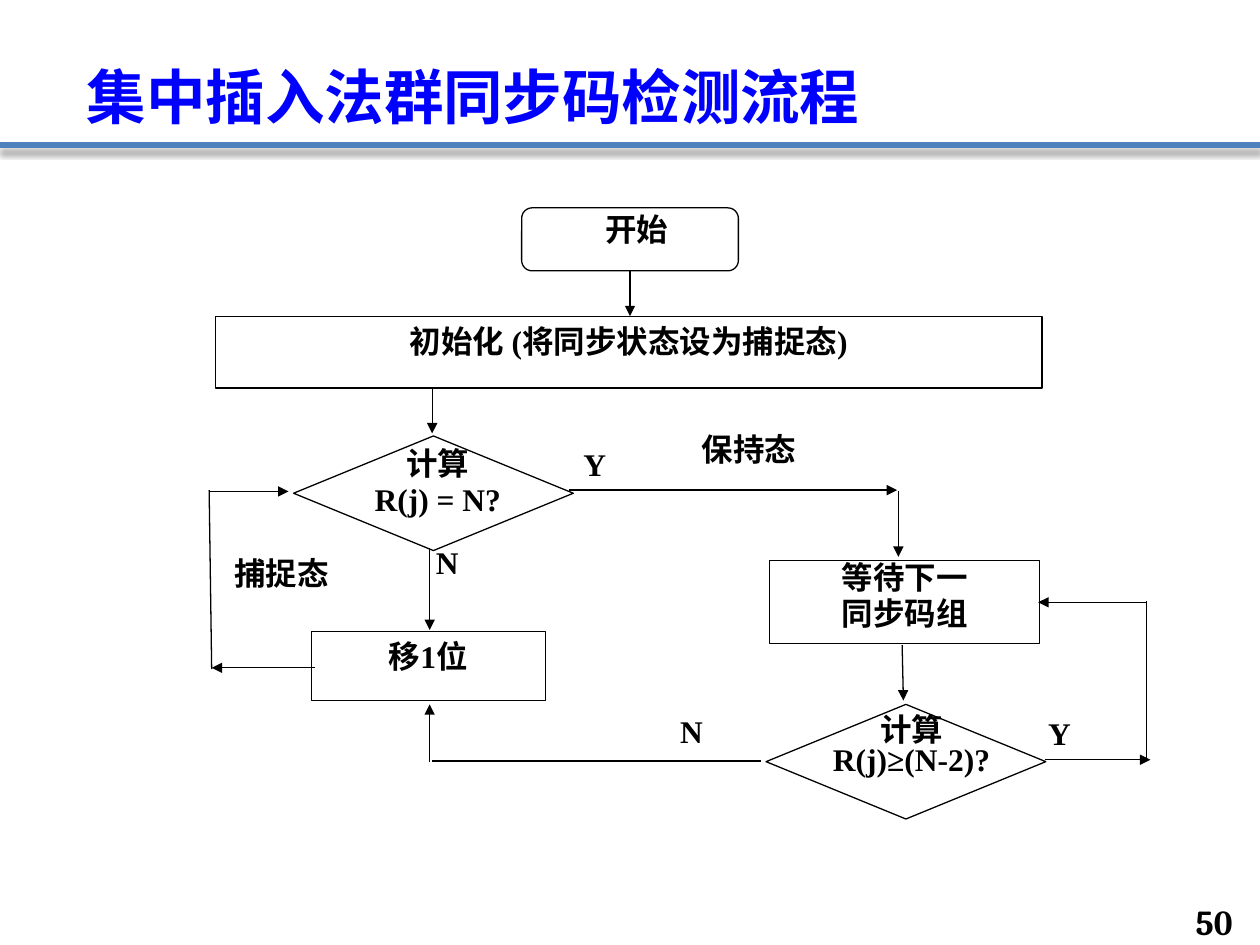
"""Build the flowchart slide for group sync code detection."""
from dataclasses import dataclass

from lxml import etree
from pptx import Presentation
from pptx.dml.color import RGBColor
from pptx.enum.shapes import MSO_CONNECTOR, MSO_SHAPE
from pptx.enum.text import MSO_ANCHOR, PP_ALIGN
from pptx.oxml.ns import qn
from pptx.util import Inches, Pt

RECTANGLE = MSO_SHAPE.RECTANGLE
ROUNDED = MSO_SHAPE.ROUNDED_RECTANGLE
DECISION = MSO_SHAPE.FLOWCHART_DECISION
STRAIGHT = MSO_CONNECTOR.STRAIGHT
LEFT, CENTER, RIGHT, JUSTIFY = PP_ALIGN.LEFT, PP_ALIGN.CENTER, PP_ALIGN.RIGHT, PP_ALIGN.JUSTIFY
TOP, MIDDLE, BOTTOM = MSO_ANCHOR.TOP, MSO_ANCHOR.MIDDLE, MSO_ANCHOR.BOTTOM


@dataclass(frozen=True)
class Theme:
    heading_font: str = "Cambria"
    body_font: str = "Times New Roman"
    title_size: int = 34
    number_size: int = 20
    body_size: int = 18
    black: RGBColor = RGBColor(0, 0, 0)
    white: RGBColor = RGBColor(255, 255, 255)
    title_blue: RGBColor = RGBColor(0, 0, 255)
    rule_blue: RGBColor = RGBColor(0x4F, 0x81, 0xBD)


theme = Theme()


def write(shape, lines, font=theme.body_font, size=theme.body_size, color=theme.black,
          align=CENTER, anchor=TOP, spacing=None, inset=True):
    frame = shape.text_frame
    frame.word_wrap = True
    frame.vertical_anchor = anchor
    frame.margin_left = frame.margin_right = Inches(0.1 if inset else 0)
    frame.margin_top = frame.margin_bottom = Inches(0.05 if inset else 0)
    for index, line in enumerate(lines):
        paragraph = frame.paragraphs[0] if index == 0 else frame.add_paragraph()
        paragraph.alignment = align
        paragraph.space_before = Pt(0)
        paragraph.line_spacing = spacing
        run = paragraph.add_run()
        run.text = line
        run.font.name = font
        run.font.size = Pt(size)
        run.font.bold = True
        run.font.color.rgb = color


def add_line(start, end, color=theme.black, width=0.75, arrow=False):
    connector = slide.shapes.add_connector(STRAIGHT, *map(Inches, start + end))
    connector.line.color.rgb = color
    connector.line.width = Pt(width)
    if arrow:
        etree.SubElement(connector.line._get_or_add_ln(), qn("a:tailEnd"), type="triangle")
    return etree.SubElement(connector._element.spPr, qn("a:effectLst"))


presentation = Presentation()
presentation.slide_width = Inches(10)
presentation.slide_height = Inches(7.5)
slide = presentation.slides.add_slide(presentation.slide_layouts[5])

effects = add_line((0, 1.15), (10, 1.15), theme.rule_blue, 3)
shadow = etree.SubElement(effects, qn("a:outerShdw"), blurRad=str(Pt(4)), dist=str(Pt(3)),
                          dir="5400000", rotWithShape="0")
shadow_color = etree.SubElement(shadow, qn("a:srgbClr"), val=str(theme.black))
etree.SubElement(shadow_color, qn("a:alpha"), val="43000")

title = slide.shapes.title
title.left, title.top, title.width, title.height = map(Inches, (0.59, 0.21, 8.82, 0.89))
write(title, ["集中插入法群同步码检测流程"], theme.heading_font, theme.title_size,
      theme.title_blue, LEFT, BOTTOM, 0.9)

page_number = slide.shapes.add_textbox(*map(Inches, (9.19, 7.17, 0.69, 0.28)))
write(page_number, ["50"], theme.heading_font, theme.number_size, align=RIGHT, anchor=MIDDLE)

steps = [
    (ROUNDED, (4.14, 1.65, 1.72, 0.5), [], None, True),
    (RECTANGLE, (1.71, 2.51, 6.56, 0.57), ["初始化 (将同步状态设为捕捉态)"], None, True),
    (RECTANGLE, (2.47, 5.01, 1.86, 0.55), ["移1位"], None, True),
    (RECTANGLE, (6.11, 4.45, 2.14, 0.66), ["等待下一", "同步码组"], 0.96, False),
    (DECISION, (2.33, 3.46, 2.22, 0.91), [], None, True),
    (DECISION, (6.08, 5.59, 2.22, 0.91), [], None, True),
]
for kind, box, lines, spacing, inset in steps:
    step = slide.shapes.add_shape(kind, *map(Inches, box))
    step.shadow.inherit = False
    step.fill.solid()
    step.fill.fore_color.rgb = theme.white
    step.line.color.rgb = theme.black
    step.line.width = Pt(0.75)
    write(step, lines, spacing=spacing, inset=inset)

arrows = [
    ((5, 2.14), (5, 2.51)),
    ((3.43, 3.07), (3.43, 3.44)),
    ((3.41, 4.35), (3.41, 5)),
    ((4.52, 3.89), (7.12, 3.89)),
    ((7.13, 3.9), (7.13, 4.42)),
    ((7.16, 5.12), (7.17, 5.56)),
    ((8.29, 6.03), (9.13, 6.03)),
    ((9.1, 4.78), (8.24, 4.78)),
    ((3.41, 6.05), (3.41, 5.59)),
    ((2.5, 5.3), (1.68, 5.3)),
    ((1.67, 3.9), (2.29, 3.9)),
]
for start, end in arrows:
    add_line(start, end, arrow=True)

plain_lines = [
    ((1.68, 5.31), (1.66, 3.89)),
    ((6.04, 6.04), (3.43, 6.04)),
    ((9.1, 6.03), (9.1, 4.77)),
]
for start, end in plain_lines:
    add_line(start, end)

labels = [
    ((4.46, 1.62, 1.19, 0.51), ["开始"], CENTER, None, True),
    ((5.27, 3.36, 1.35, 0.59), ["保持态"], CENTER, None, True),
    ((1.56, 4.35, 1.35, 0.59), ["捕捉态"], CENTER, None, True),
    ((2.6, 3.54, 1.75, 0.69), ["计算", "R(j) = N?"], CENTER, 0.96, False),
    ((6.36, 5.69, 1.75, 0.69), ["计算", "R(j)≥(N-2)?"], CENTER, 0.8, False),
    ((4.63, 3.53, 0.58, 0.41), ["Y"], JUSTIFY, None, False),
    ((3.46, 4.31, 0.58, 0.41), ["N"], JUSTIFY, None, False),
    ((8.22, 5.62, 0.68, 0.5), ["Y"], JUSTIFY, None, True),
    ((5.3, 5.6, 0.83, 0.53), ["N"], JUSTIFY, None, True),
]
for box, lines, align, spacing, inset in labels:
    label = slide.shapes.add_textbox(*map(Inches, box))
    write(label, lines, align=align, spacing=spacing, inset=inset)

presentation.save("out.pptx")
